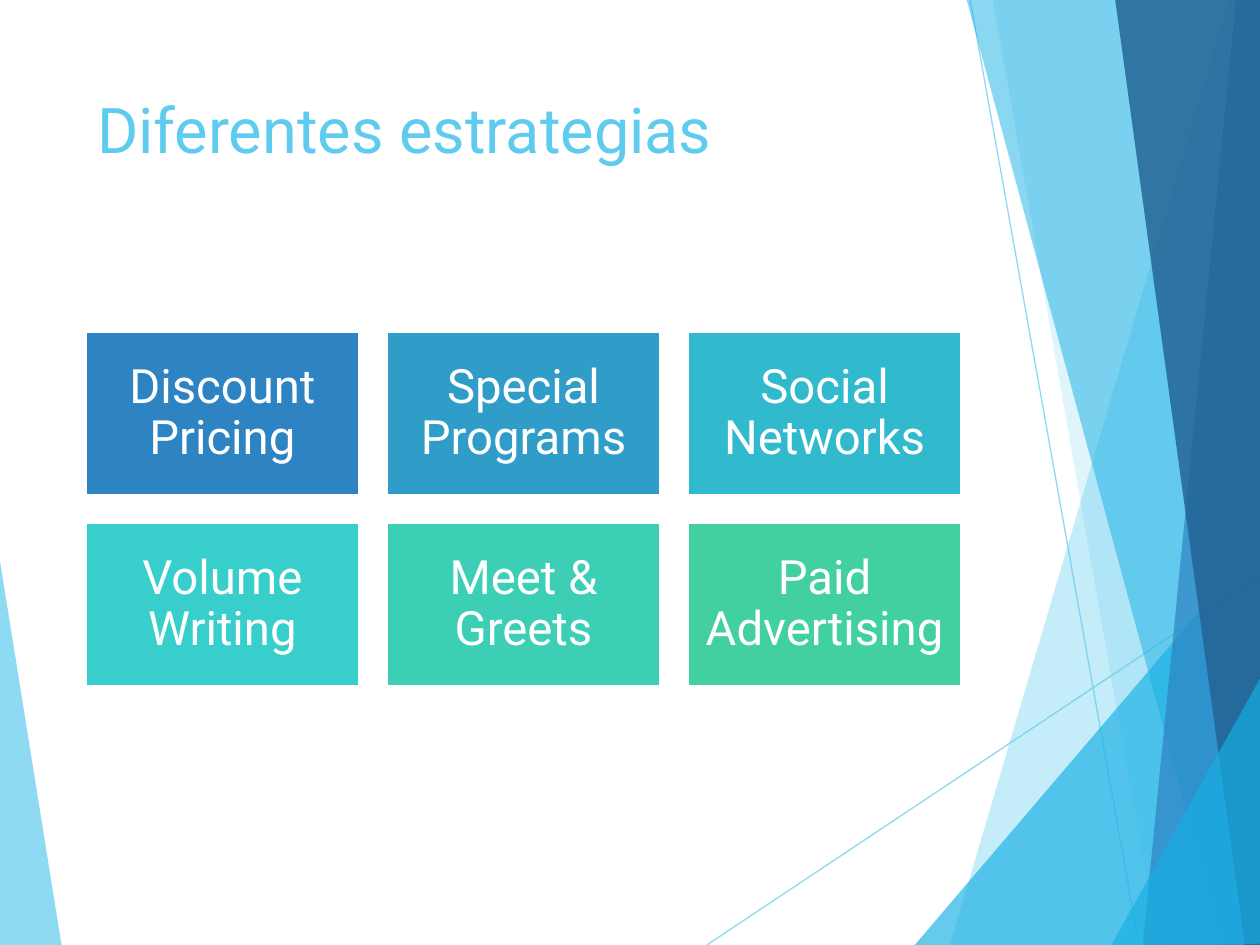
from typing import NamedTuple

from lxml.etree import SubElement
from pptx import Presentation
from pptx.dml.color import RGBColor
from pptx.enum.shapes import MSO_CONNECTOR, MSO_SHAPE
from pptx.enum.text import MSO_ANCHOR, MSO_AUTO_SIZE, PP_ALIGN
from pptx.oxml.ns import qn
from pptx.util import Inches, Pt

FONT = "Roboto"
COLORS = {
    "white": "FFFFFF",
    "sky": "5FCBEF",
    "cyan": "17B0E4",
    "blue": "2E83C3",
    "navy": "226292",
    "steel": "309DC8",
    "teal": "31B9CD",
    "aqua": "37CECB",
    "mint": "3CCFB6",
    "green": "42D0A2",
}


class Facet(NamedTuple):
    color: str
    alpha: int
    points: list[tuple[float, float]]


class Ray(NamedTuple):
    start: tuple[float, float]
    end: tuple[float, float]


class Card(NamedTuple):
    text: str
    color: str


RAYS = [
    Ray((5.61, 7.5), (10.01, 4.57)),
    Ray((7.7, 0), (9.04, 7.5)),
]
LEFT = Facet("sky", 70, [(-0.01, 4.39), (0.49, 7.51), (-0.01, 7.5)])
FACETS = [
    Facet("sky", 36, [(9.75, 0), (7.54, 7.5), (10.02, 7.51), (10.01, 0.01)]),
    Facet("sky", 20, [(7.88, -0.01), (9.19, 7.5), (10.01, 7.5), (10.01, -0.01)]),
    Facet("cyan", 66, [(7.26, 7.5), (10, 4.29), (10.01, 7.5)]),
    Facet("cyan", 50, [(7.67, -0.01), (9.7, 7.5), (10.01, 7.49), (10.01, -0.01)]),
    Facet("blue", 70, [(9.81, -0.01), (9.07, 7.5), (10.01, 7.5), (10, -0.01)]),
    Facet("navy", 82, [(8.85, -0.01), (9.88, 7.5), (10.02, 7.5), (10, -0.01)]),
    Facet("cyan", 66, [(8.82, 7.5), (10.02, 5.35), (10.02, 7.49)]),
]
CARDS = [
    Card("Discount Pricing", "blue"),
    Card("Special Programs", "steel"),
    Card("Social Networks", "teal"),
    Card("Volume Writing", "aqua"),
    Card("Meet & Greets", "mint"),
    Card("Paid Advertising", "green"),
]
COLS = 3
GRID_X, GRID_Y = 0.68, 2.63
CARD_W, CARD_H = 2.17, 1.3
GAP = 0.22


def rgb(name: str) -> RGBColor:
    return RGBColor.from_string(COLORS[name])


def fade(props, alpha: int) -> None:
    """Set the opacity, in percent, of the first colour in the properties."""
    color = next(props.iter(qn("a:srgbClr")))
    SubElement(color, qn("a:alpha"), val=str(alpha * 1000))


def add_run(para, text: str, size: float, color: str) -> None:
    run = para.add_run()
    run.text = text
    run.font.name = FONT
    run.font.size = Pt(size)
    run.font.color.rgb = rgb(color)


def draw_facet(slide, facet: Facet) -> None:
    points = [(Inches(x), Inches(y)) for x, y in facet.points]
    builder = slide.shapes.build_freeform(*points[0])
    builder.add_line_segments(points[1:], close=True)
    shape = builder.convert_to_shape()
    shape.shadow.inherit = False
    shape.fill.solid()
    shape.fill.fore_color.rgb = rgb(facet.color)
    shape.line.fill.background()
    fade(shape.fill._xPr, facet.alpha)


def draw_ray(slide, ray: Ray) -> None:
    ends = [Inches(n) for n in ray.start + ray.end]
    line = slide.shapes.add_connector(MSO_CONNECTOR.STRAIGHT, *ends)
    line.line.width = Pt(0.75)
    line.line.color.rgb = rgb("sky")
    props = line._element.spPr
    fade(props, 70)
    SubElement(props, qn("a:effectLst"))


def draw_card(slide, card: Card, row: int, col: int) -> None:
    shape = slide.shapes.add_shape(
        MSO_SHAPE.RECTANGLE,
        Inches(GRID_X + col * (CARD_W + GAP)),
        Inches(GRID_Y + row * (CARD_H + GAP)),
        Inches(CARD_W),
        Inches(CARD_H),
    )
    shape.shadow.inherit = False
    shape.fill.solid()
    shape.fill.fore_color.rgb = rgb(card.color)
    shape.line.color.rgb = rgb("white")
    shape.line.width = Pt(1.5)
    frame = shape.text_frame
    frame.word_wrap = True
    frame.vertical_anchor = MSO_ANCHOR.MIDDLE
    frame.margin_left = frame.margin_right = Inches(0.11)
    frame.margin_top = frame.margin_bottom = Inches(0.11)
    para = frame.paragraphs[0]
    para.alignment = PP_ALIGN.CENTER
    para.line_spacing = 0.9
    add_run(para, card.text, 27, "white")


def set_title(slide, text: str) -> None:
    title = slide.shapes.title
    title.left, title.top = Inches(0.67), Inches(0.67)
    title.width, title.height = Inches(6.94), Inches(1.44)
    frame = title.text_frame
    frame.word_wrap = True
    frame.auto_size = MSO_AUTO_SIZE.NONE
    frame.vertical_anchor = MSO_ANCHOR.TOP
    para = frame.paragraphs[0]
    para.alignment = PP_ALIGN.LEFT
    add_run(para, text, 36, "sky")


def main() -> None:
    deck = Presentation()
    deck.slide_width, deck.slide_height = Inches(10), Inches(7.5)
    slide = deck.slides.add_slide(deck.slide_layouts[5])
    draw_facet(slide, LEFT)
    for ray in RAYS:
        draw_ray(slide, ray)
    for facet in FACETS:
        draw_facet(slide, facet)
    set_title(slide, "Diferentes estrategias")
    for i, card in enumerate(CARDS):
        draw_card(slide, card, *divmod(i, COLS))
    deck.save("out.pptx")


if __name__ == "__main__":
    main()
